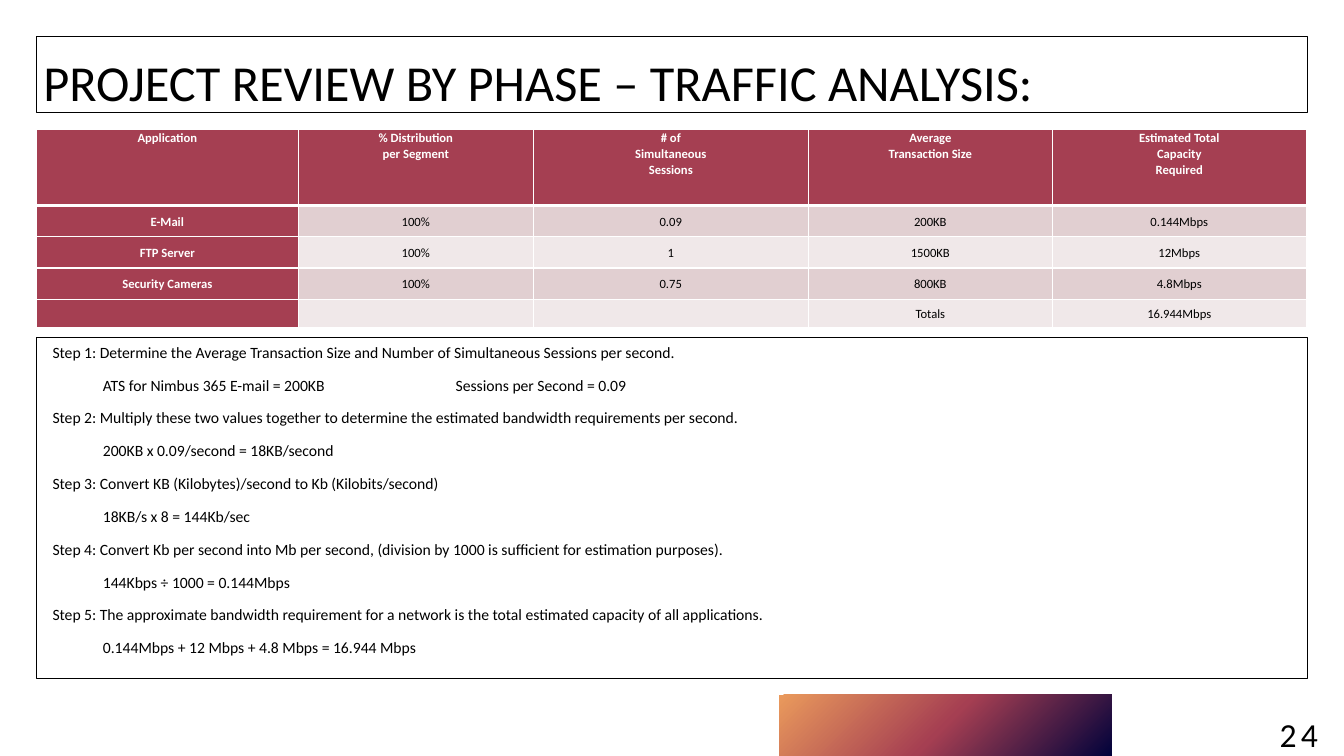
from dataclasses import dataclass

from lxml import etree
from pptx import Presentation
from pptx import util as u
from pptx.dml.color import RGBColor
from pptx.enum import shapes, text
from pptx.oxml import ns, parse_xml

BLACK = RGBColor(0x00, 0x00, 0x00)
WHITE = RGBColor(0xFF, 0xFF, 0xFF)
NAVY = RGBColor(0x01, 0x02, 0x3B)
WINE = RGBColor(0xA5, 0x3F, 0x52)
SAND = RGBColor(0xEA, 0x9A, 0x5C)
ROSE = RGBColor(0xE1, 0xCF, 0xD1)
BLUSH = RGBColor(0xF0, 0xE8, 0xE9)
FONT = "Calibri"
LEFT, WIDTH = 25.92, 907.92


@dataclass
class Box:
    left: float
    top: float
    width: float
    height: float

    def place(self) -> tuple:
        return tuple(u.Pt(v) for v in (self.left, self.top, self.width, self.height))


@dataclass
class Style:
    size: float
    color: RGBColor = BLACK
    bold: bool = False
    align: text.PP_ALIGN = text.PP_ALIGN.LEFT
    line: float = 1.0
    before: float = 0
    indent: float = 0


HEAD = Style(9, WHITE, True, text.PP_ALIGN.CENTER, 1.07)
BODY = Style(9, BLACK, False, text.PP_ALIGN.CENTER, 1.07)
STEP = Style(11.2, align=text.PP_ALIGN.JUSTIFY, before=10, indent=4.5)

COLS = [187.2, 167.76, 196.56, 174.24, 181.44]
ROWS = [54.72, 22.32, 22.32, 22.32, 20.16]
CELLS = [
    ["Application", "% Distribution\nper Segment", "# of\nSimultaneous\nSessions",
     "Average\nTransaction Size", "Estimated Total\nCapacity\nRequired"],
    ["E-Mail", "100%", "0.09", "200KB", "0.144Mbps"],
    ["FTP Server", "100%", "1", "1500KB", "12Mbps"],
    ["Security Cameras", "100%", "0.75", "800KB", "4.8Mbps"],
    ["", "", "", "Totals", "16.944Mbps"],
]
STEPS = [
    "Step 1: Determine the Average Transaction Size and Number of Simultaneous Sessions per second.",
    "\tATS for Nimbus 365 E-mail = 200KB\t\t\tSessions per Second = 0.09",
    "Step 2: Multiply these two values together to determine the estimated bandwidth requirements per second.",
    "\t200KB x 0.09/second = 18KB/second",
    "Step 3: Convert KB (Kilobytes)/second to Kb (Kilobits/second)",
    "\t18KB/s x 8 = 144Kb/sec",
    "Step 4: Convert Kb per second into Mb per second, (division by 1000 is sufficient for estimation purposes).",
    "\t144Kbps ÷ 1000 = 0.144Mbps",
    "Step 5: The approximate bandwidth requirement for a network is the total estimated capacity of all applications.",
    "\t0.144Mbps + 12 Mbps + 4.8 Mbps = 16.944 Mbps",
]


def write(frame, lines: list[str], style: Style) -> None:
    """Fill a text frame with one paragraph per line."""
    for i, line in enumerate(lines):
        para = frame.add_paragraph() if i else frame.paragraphs[0]
        para.alignment = style.align
        para.line_spacing = style.line
        para.space_before = u.Pt(style.before if i else 0)
        if style.indent:
            props = para._p.get_or_add_pPr()
            props.set("marL", str(u.Pt(style.indent)))
            props.set("indent", "0")
        if not line:
            end = etree.SubElement(para._p, ns.qn("a:endParaRPr"))
            end.set("sz", str(int(style.size * 100)))
            continue
        run = para.add_run()
        run.text = line
        run.font.name = FONT
        run.font.size = u.Pt(style.size)
        run.font.bold = style.bold
        run.font.color.rgb = style.color


def add_rect(slide, box: Box):
    rect = slide.shapes.add_shape(shapes.MSO_SHAPE.RECTANGLE, *box.place())
    rect.shadow.inherit = False
    return rect


def add_panel(slide, box: Box, lines: list[str], style: Style):
    """Draw a white box with a black outline and text."""
    panel = add_rect(slide, box)
    panel.fill.solid()
    panel.fill.fore_color.rgb = WHITE
    panel.line.color.rgb = BLACK
    panel.line.width = u.Pt(1)
    panel.text_frame.word_wrap = True
    panel.text_frame.vertical_anchor = text.MSO_ANCHOR.TOP
    write(panel.text_frame, lines, style)
    return panel


def add_glow(slide, box: Box) -> None:
    """Draw the footer bar with a round gradient."""
    bar = add_rect(slide, box)
    bar.line.fill.background()
    stops = "".join(f'<a:gs pos="{pos}"><a:srgbClr val="{tone}"/></a:gs>'
                    for pos, tone in ((0, NAVY), (50000, WINE), (100000, SAND)))
    grad = parse_xml(f'<a:gradFill {ns.nsdecls("a")} rotWithShape="1"><a:gsLst>{stops}</a:gsLst>'
                     '<a:path path="circle"><a:fillToRect l="100000" t="100000"/></a:path>'
                     '</a:gradFill>')
    bar._element.spPr.find(ns.qn("a:prstGeom")).addnext(grad)


def set_edge(cell, side: str, width: float) -> None:
    edge = parse_xml(f'<a:ln{side} {ns.nsdecls("a")} w="{u.Pt(width)}"><a:solidFill>'
                     f'<a:srgbClr val="{WHITE}"/></a:solidFill></a:ln{side}>')
    cell._tc.get_or_add_tcPr().append(edge)


def add_grid(slide, box: Box) -> None:
    """Draw the traffic table."""
    grid = slide.shapes.add_table(len(ROWS), len(COLS), *box.place()).table
    for col, width in zip(grid.columns, COLS):
        col.width = u.Pt(width)
    for r, (row, height) in enumerate(zip(grid.rows, ROWS)):
        row.height = u.Pt(height)
        tight = r in (0, len(ROWS) - 1)
        for c, cell in enumerate(row.cells):
            label = r == 0 or c == 0
            cell.margin_left = cell.margin_right = u.Pt(5 if tight else 3.6)
            cell.margin_top = cell.margin_bottom = u.Pt(0 if tight else 1.44)
            cell.vertical_anchor = text.MSO_ANCHOR.MIDDLE if r else text.MSO_ANCHOR.TOP
            for side in "LRTB":
                thick = (r, side) in ((0, "B"), (1, "T"))
                set_edge(cell, side, 3 if thick else 1)
            cell.fill.solid()
            cell.fill.fore_color.rgb = WINE if label else ROSE if r % 2 else BLUSH
            write(cell.text_frame, CELLS[r][c].split("\n"), HEAD if label else BODY)


def main() -> None:
    deck = Presentation()
    deck.slide_width, deck.slide_height = u.Pt(960), u.Pt(540)
    slide = deck.slides.add_slide(deck.slide_layouts[6])

    # Footer bar and page number
    add_glow(slide, Box(556.56, 496.08, 237.6, 43.92))
    page = slide.shapes.add_textbox(*Box(902.88, 491.76, 49.68, 28.8).place())
    page.text_frame.word_wrap = True
    write(page.text_frame, ["24"], Style(24, align=text.PP_ALIGN.CENTER, line=1.5))
    page.text_frame.paragraphs[0].runs[0].font._element.set("spc", "300")

    # Title
    title = add_panel(slide, Box(LEFT, 25.92, WIDTH, 54.72),
                      ["PROJECT REVIEW BY PHASE – TRAFFIC ANALYSIS:"], Style(36))
    title.text_frame.vertical_anchor = text.MSO_ANCHOR.BOTTOM
    title.text_frame.margin_left = u.Pt(5)
    title.text_frame.margin_bottom = u.Pt(1)

    # Worked steps and table
    add_panel(slide, Box(LEFT, 241.2, WIDTH, 243.36), STEPS, STEP)
    add_grid(slide, Box(LEFT, 92.16, WIDTH, sum(ROWS)))

    deck.save("out.pptx")


if __name__ == "__main__":
    main()
